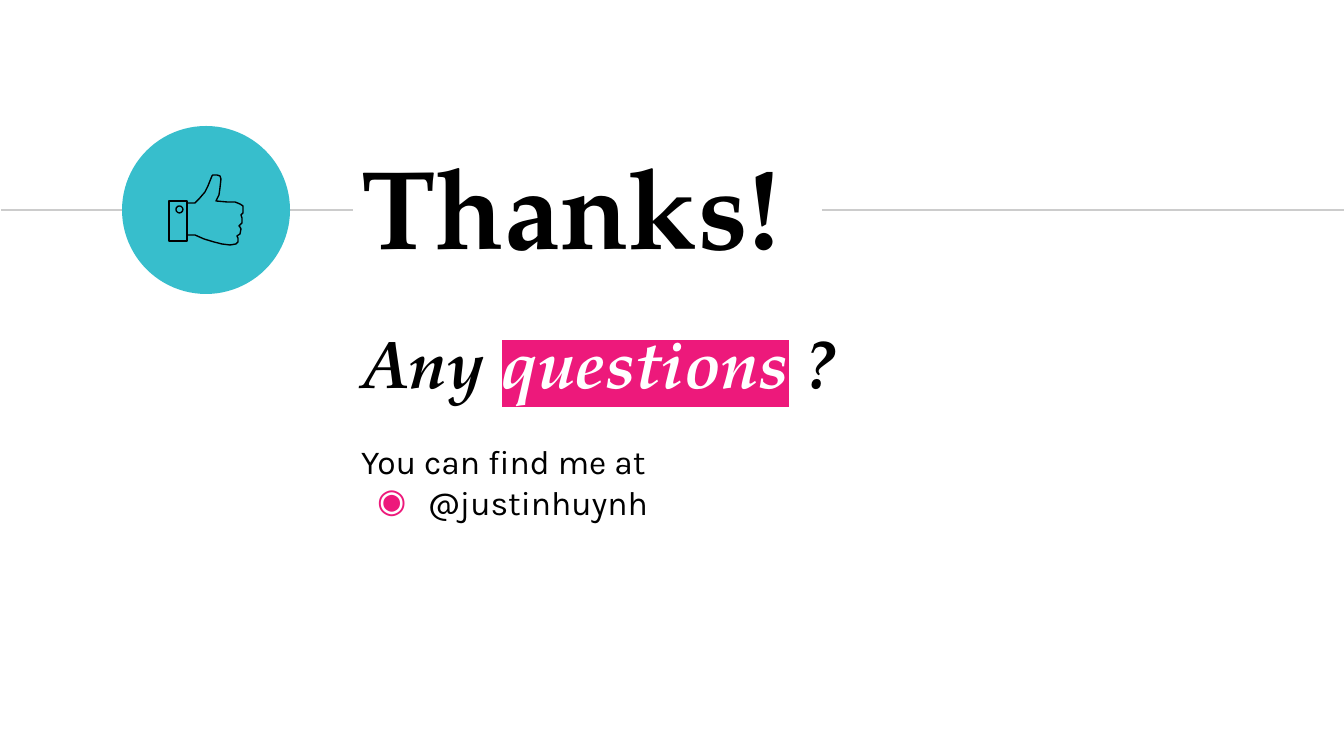
import lxml.etree
import pptx
import pptx.dml.color
import pptx.enum.shapes
import pptx.enum.text
import pptx.oxml.ns
import pptx.util

PX = 9144000 / 1344
COLORS = {"black": "000000", "white": "FFFFFF", "pink": "ED197B", "teal": "37BECC", "gray": "CCCCCC"}
TITLE = {"name": "TeX Gyre Pagella", "size": pptx.util.Pt(60), "bold": True}
QUESTION = {"name": "TeX Gyre Pagella", "size": pptx.util.Pt(36), "bold": True, "italic": True}
BODY = {"name": "Karla", "size": pptx.util.Pt(18)}
qn = pptx.oxml.ns.qn


def px(*lengths):
    return [pptx.util.Emu(round(length * PX)) for length in lengths]


def color(name):
    return pptx.dml.color.RGBColor.from_string(COLORS[name])


presentation = pptx.Presentation()
presentation.slide_width, presentation.slide_height = px(1344, 756)
slide = presentation.slides.add_slide(presentation.slide_layouts[6])
shapes = slide.shapes

paragraphs = [
    ((348, 308, 738, 116), "TOP", [
        ([("Any ", "black"), ("questions", "white"), (" ?", "black")], QUESTION, 0),
        ([("You can find me at", "black")], BODY, 21),
        ([("@justinhuynh", "black")], BODY, 0),
    ]),
    ((348, 120, 722, 170), "MIDDLE", [([("Thanks!", "black")], TITLE, 0)]),
]

for start, end in [(1, 353), (822, 1344)]:
    line = shapes.add_connector(pptx.enum.shapes.MSO_CONNECTOR.STRAIGHT, *px(start, 210, end, 210))
    line.line.color.rgb = color("gray")
    line.line.width = pptx.util.Pt(0.75)
    lxml.etree.SubElement(line._element.spPr, qn("a:effectLst"))

for box, anchor, contents in paragraphs:
    frame = shapes.add_textbox(*px(*box)).text_frame
    frame.word_wrap = True
    frame.vertical_anchor = pptx.enum.text.MSO_ANCHOR[anchor]
    frame.margin_left, frame.margin_top, frame.margin_right, frame.margin_bottom = [pptx.util.Inches(0.1)] * 4
    for index, (runs, font, space) in enumerate(contents):
        paragraph = frame.add_paragraph() if index else frame.paragraphs[0]
        paragraph.space_before = pptx.util.Pt(space)
        for text, name in runs:
            run = paragraph.add_run()
            run.text = text
            for attribute, value in font.items():
                setattr(run.font, attribute, value)
            run.font.color.rgb = color(name)
            if name == "white":
                highlight = lxml.etree.Element(qn("a:highlight"))
                lxml.etree.SubElement(highlight, qn("a:srgbClr"), val=COLORS["pink"])
                run.font._element.find(qn("a:solidFill")).addnext(highlight)
        if text.startswith("@"):
            properties = paragraph._p.get_or_add_pPr()
            properties.set("marL", str(px(67)[0]))
            properties.set("indent", str(px(-51)[0]))
            bullet_color = lxml.etree.SubElement(properties, qn("a:buClr"))
            lxml.etree.SubElement(bullet_color, qn("a:srgbClr"), val=COLORS["pink"])
            lxml.etree.SubElement(properties, qn("a:buFont"), typeface="Karla")
            lxml.etree.SubElement(properties, qn("a:buChar"), char="◉")

OVAL = pptx.enum.shapes.MSO_SHAPE.OVAL
circle = shapes.add_shape(OVAL, *px(122, 126, 168, 168))
circle.shadow.inherit = False
circle.fill.solid()
circle.fill.fore_color.rgb = color("teal")
circle.line.fill.background()

cuff = [(169, 201), (169, 241), (187, 241), (187, 201)]
hand = [
    (188, 235), (195, 235), (204, 239), (214, 242), (222, 244), (230, 245), (236, 244), (238, 242),
    (238, 238), (237, 236), (240, 234), (241, 229), (240, 227), (239, 226), (242, 223), (242, 218),
    (241, 215), (243, 213), (243, 208), (243, 206), (240, 204), (235, 202), (227, 202), (216, 201),
    (219, 195), (220, 188), (221, 179), (220, 176), (217, 175), (213, 175), (212, 176), (208, 186),
    (205, 192), (199, 199), (195, 203), (188, 203),
]
thumb_parts = []
for points, closed in [(cuff, True), (hand, False)]:
    builder = shapes.build_freeform(*points[0], scale=PX)
    builder.add_line_segments(points[1:], close=closed)
    thumb_parts.append(builder.convert_to_shape())
thumb_parts.append(shapes.add_shape(OVAL, *px(176, 206, 7, 7)))
for part in thumb_parts:
    part.shadow.inherit = False
    part.fill.background()
    part.line.color.rgb = color("black")
    part.line.width = pptx.util.Pt(0.75)

presentation.save("out.pptx")
